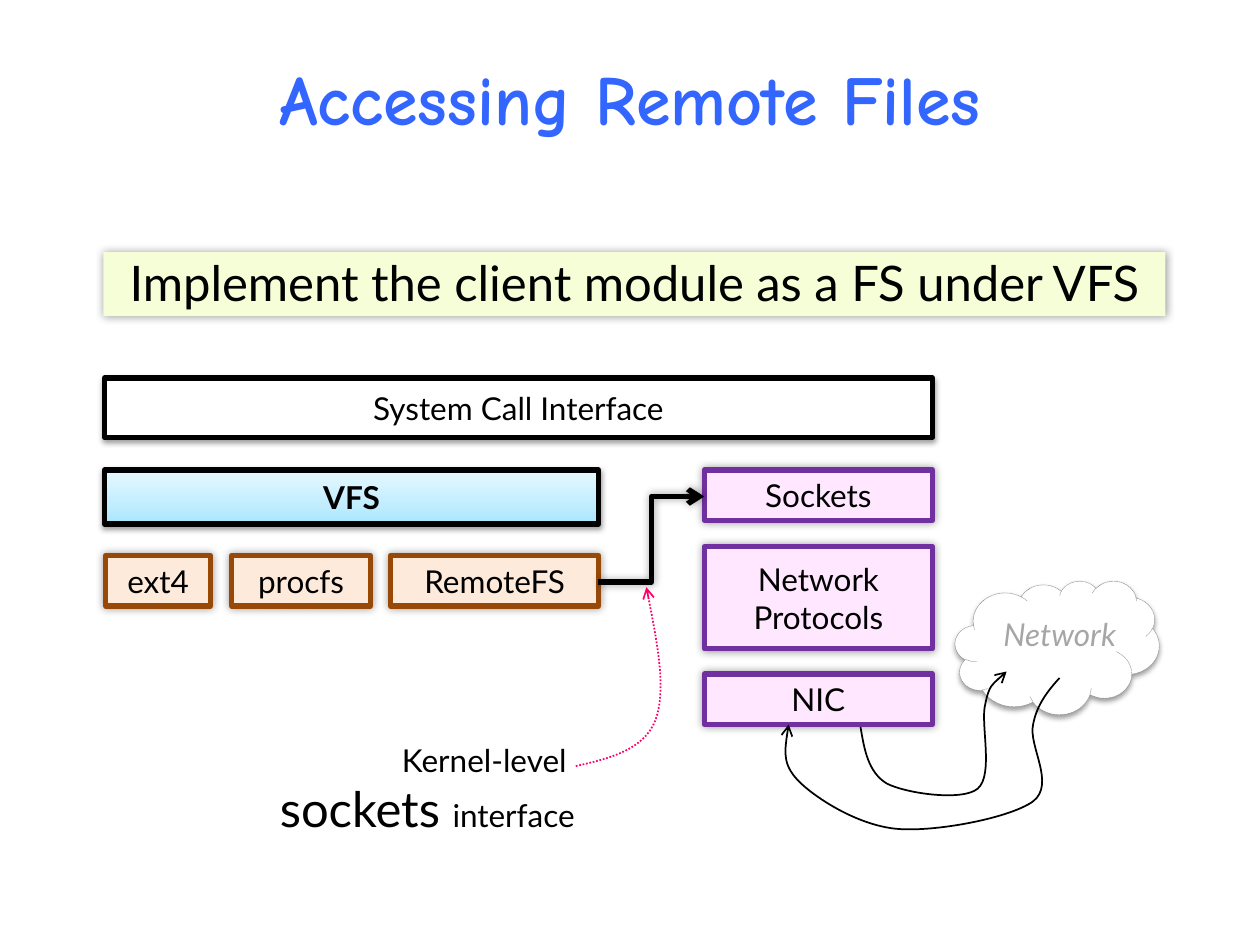
import pptx
import pptx.util
import pptx.dml.color
import pptx.enum.dml
import pptx.enum.shapes
import pptx.enum.text
import pptx.oxml
import pptx.oxml.ns
import copy

Inches, Pt = pptx.util.Inches, pptx.util.Pt
qn = pptx.oxml.ns.qn
SHAPE = pptx.enum.shapes.MSO_SHAPE
ALIGN = pptx.enum.text.PP_ALIGN
ANCHOR = pptx.enum.text.MSO_ANCHOR
FIT = pptx.enum.text.MSO_AUTO_SIZE
DOTTED = pptx.enum.dml.MSO_LINE.ROUND_DOT
GLOW = (40, 5, 0, 0)
DROP = (38, 3.1, 1.6, 90)


def rgb(color):
    return pptx.dml.color.RGBColor.from_string(color)


def set_line(sp, color, width, dash=None):
    sp.line.color.rgb = rgb(color)
    sp.line.width = Pt(width)
    if dash:
        sp.line.dash_style = dash


def add_arrowhead(sp):
    ln = sp.line._get_or_add_ln()
    tail = ln.makeelement(qn("a:tailEnd"), {"type": "arrow"})
    ln.append(tail)


def add_shadow(sp, shadow=None):
    spPr = sp._element.spPr
    for old in spPr.findall(qn("a:effectLst")):
        spPr.remove(old)
    effect = ""
    if shadow:
        alpha, blur, dist, angle = shadow
        effect = (f'<a:outerShdw blurRad="{Pt(blur)}" dist="{Pt(dist)}" '
                  f'dir="{angle * 60000}" rotWithShape="0"><a:srgbClr val="000000">'
                  f'<a:alpha val="{alpha * 1000}"/></a:srgbClr></a:outerShdw>')
    spPr.append(pptx.oxml.parse_xml(
        f'<a:effectLst {pptx.oxml.ns.nsdecls("a")}>{effect}</a:effectLst>'))


def format_run(r, size, color="000000", font="Lato", bold=False, italic=False):
    r.font.size = Pt(size)
    r.font.name = font
    r.font.bold = bold
    r.font.italic = italic
    r.font.color.rgb = rgb(color)


def set_insets(tf, left, top, right, bottom):
    tf.margin_left, tf.margin_top = Inches(left), Inches(top)
    tf.margin_right, tf.margin_bottom = Inches(right), Inches(bottom)


def hang(p):
    pPr = p._p.get_or_add_pPr()
    pPr.set("marL", str(Inches(0.19)))
    pPr.set("indent", str(-Inches(0.19)))


def add_box(s, text, at, fill, line=None, shadow=GLOW, insets=(0.04, 0, 0.04, 0),
            wrap=True, size=18, bold=False):
    sp = s.shapes.add_shape(SHAPE.RECTANGLE, *map(Inches, at))
    if fill:
        sp.fill.solid()
        sp.fill.fore_color.rgb = rgb(fill)
    if line:
        set_line(sp, line, 3)
    else:
        sp.line.fill.background()
    add_shadow(sp, shadow)
    tf = sp.text_frame
    tf.word_wrap = wrap
    tf.auto_size = FIT.SHAPE_TO_FIT_TEXT if wrap else FIT.NONE
    tf.vertical_anchor = ANCHOR.MIDDLE
    set_insets(tf, *insets)
    p = tf.paragraphs[0]
    p.text = text
    p.alignment = ALIGN.CENTER
    format_run(p.runs[0], size, bold=bold)
    return sp


def set_gradient(sp, stops):
    sp.fill.gradient()
    sp.fill.gradient_angle = 90
    gs_list = sp._element.spPr.find(".//" + qn("a:gsLst"))
    gs_list.insert(1, copy.deepcopy(gs_list[0]))
    for stop, (position, color) in zip(sp.fill.gradient_stops, stops):
        stop.position = position
        stop.color.rgb = rgb(color)


def add_curve(s, points, color, dash=None):
    pts = [(Inches(x), Inches(y)) for x, y in points]
    builder = s.shapes.build_freeform(*pts[0])
    builder.add_line_segments(pts[1:], close=False)
    sp = builder.convert_to_shape()
    outline = sp._element.spPr.find(".//" + qn("a:path"))
    segments = outline.findall(qn("a:lnTo"))
    for i in range(0, len(segments), 3):
        bezier = outline.makeelement(qn("a:cubicBezTo"), {})
        for segment in segments[i:i + 3]:
            bezier.append(segment[0])
            outline.remove(segment)
        outline.append(bezier)
    sp.fill.background()
    set_line(sp, color, 1, dash)
    add_arrowhead(sp)
    add_shadow(sp)


def add_title(s, text):
    title = s.shapes.title
    title.left, title.top, title.width, title.height = map(Inches, (0, 0, 10, 1.55))
    tf = title.text_frame
    tf.text = text
    tf.vertical_anchor = ANCHOR.MIDDLE
    tf.paragraphs[0].alignment = ALIGN.CENTER
    format_run(tf.paragraphs[0].runs[0], 40, "3366FF", "Comic Neue", bold=True)


def add_network(s):
    group = s.shapes.add_group_shape()
    cloud = group.shapes.add_shape(SHAPE.CLOUD, *map(Inches, (7.58, 4.61, 1.62, 1.06)))
    cloud.fill.solid()
    cloud.fill.fore_color.rgb = rgb("FFFFFF")
    set_line(cloud, "808080", 0.25, DOTTED)
    add_shadow(cloud, DROP)
    label = group.shapes.add_textbox(*map(Inches, (7.49, 4.83, 1.84, 0.5)))
    tf = label.text_frame
    tf.word_wrap = True
    tf.text = "Network"
    tf.paragraphs[0].alignment = ALIGN.CENTER
    format_run(tf.paragraphs[0].runs[0], 18, "A6A6A6", italic=True)


def add_kernel_note(s):
    tf = s.shapes.add_textbox(*map(Inches, (1.26, 5.83, 3.4, 0.98))).text_frame
    tf.word_wrap = True
    p = tf.paragraphs[0]
    p.text = "Kernel-level \v"
    p.alignment = ALIGN.RIGHT
    hang(p)
    for text in ("sockets ", "interface"):
        p.add_run().text = text
    for r, size in zip(p.runs, (18, 28, 18)):
        format_run(r, size)


def add_socket_link(s):
    link = s.shapes.add_connector(pptx.enum.shapes.MSO_CONNECTOR.ELBOW,
                                  *map(Inches, (4.75, 4.62, 5.59, 3.94)))
    set_line(link, "000000", 3)
    add_arrowhead(link)
    add_shadow(link, GLOW)


def main():
    prs = pptx.Presentation()
    prs.slide_width, prs.slide_height = Inches(10), Inches(7.5)
    s = prs.slides.add_slide(prs.slide_layouts[5])
    add_title(s, "Accessing Remote Files")
    add_network(s)

    banner = add_box(s, "Implement the client module as a FS under VFS",
                     (0.82, 2, 8.43, 0.51), "F5FED6",
                     insets=(0.08, 0, 0.08, 0.04), size=28)
    banner.text_frame.vertical_anchor = ANCHOR.TOP
    hang(banner.text_frame.paragraphs[0])

    vfs = add_box(s, "VFS", (0.83, 3.73, 3.92, 0.43), None, "000000", DROP,
                  (0.1, 0.04, 0.1, 0.05), wrap=False, bold=True)
    set_gradient(vfs, [(0, "A7E6FF"), (0.35, "C1EDFF"), (1, "E7F8FF")])
    add_box(s, "System Call Interface", (0.83, 3, 6.57, 0.47), "FFFFFF", "000000",
            DROP, (0.1, 0.04, 0.1, 0.04), wrap=False)

    for name, left, width in (("ext4", 0.84, 0.83), ("procfs", 1.84, 1.1),
                              ("RemoteFS", 3.1, 1.65)):
        add_box(s, name, (left, 4.41, width, 0.4), "FDEADA", "984807")
    for name, top, height in (("Sockets", 3.73, 0.4), ("Network Protocols", 4.34, 0.81),
                              ("NIC", 5.35, 0.4)):
        add_box(s, name, (5.59, top, 1.81, height), "FFE7FF", "7030A0")

    add_socket_link(s)
    add_curve(s, [(6.83, 5.77), (6.86, 5.95), (6.89, 6.13), (7.04, 6.22),
                  (7.2, 6.3), (7.64, 6.36), (7.76, 6.26), (7.89, 6.15),
                  (7.78, 5.74), (7.82, 5.59), (7.85, 5.44), (7.92, 5.39),
                  (7.99, 5.33)], "000000")
    add_curve(s, [(8.41, 5.38), (8.32, 5.48), (8.23, 5.59), (8.2, 5.75),
                  (8.16, 5.92), (8.38, 6.22), (8.2, 6.36), (8.02, 6.49),
                  (7.45, 6.6), (7.14, 6.58), (6.83, 6.56), (6.5, 6.35),
                  (6.36, 6.22), (6.21, 6.08), (6.23, 5.92), (6.26, 5.75)], "000000")
    add_kernel_note(s)
    add_curve(s, [(4.57, 6.08), (4.84, 6.02), (5.11, 5.95), (5.2, 5.72),
                  (5.29, 5.48), (5.21, 5.07), (5.13, 4.66)], "FF0066", DOTTED)
    prs.save("out.pptx")


main()
